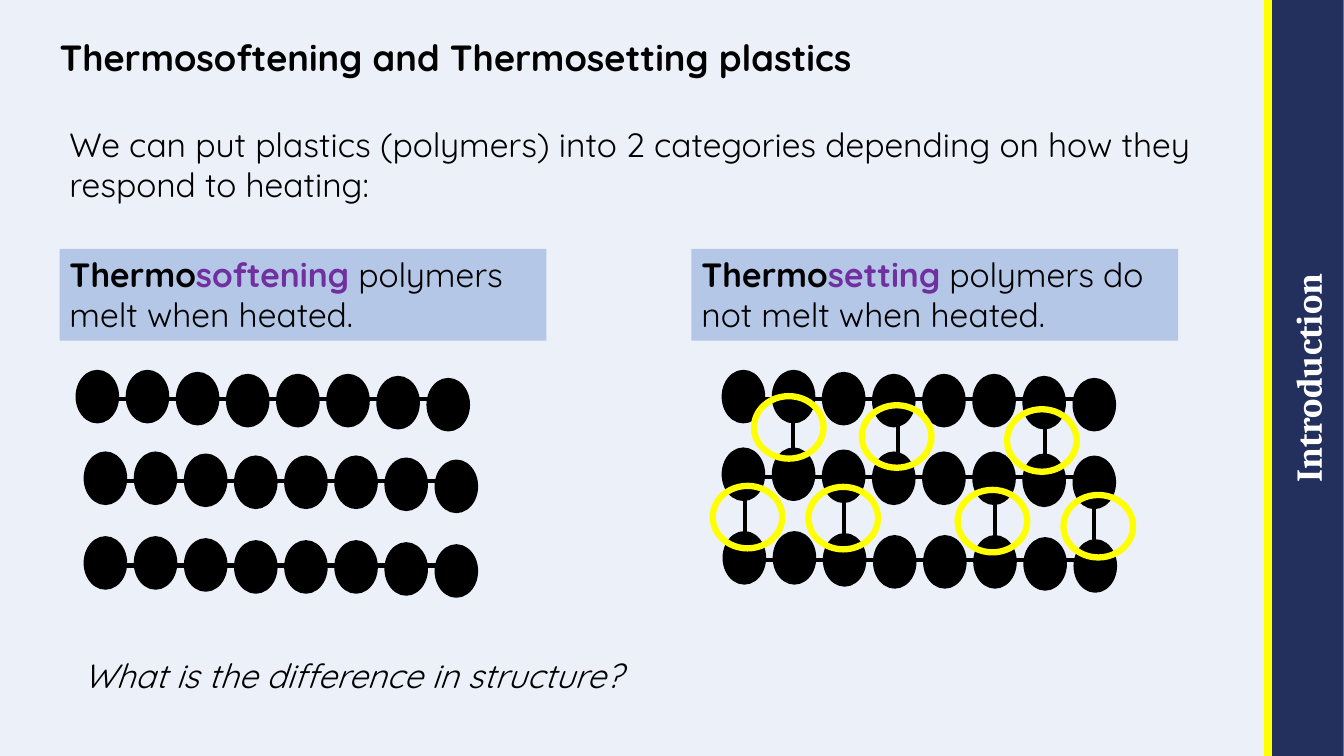
from pptx import Presentation
from pptx.dml.color import RGBColor as Rgb
from pptx.enum.shapes import MSO_CONNECTOR as Link, MSO_SHAPE as Shape
from pptx.enum.text import MSO_ANCHOR as Anchor, PP_ALIGN as Align
from pptx.oxml.ns import qn
from pptx.util import Inches, Pt
from lxml.etree import SubElement

COLORS = {name: Rgb.from_string(code) for name, code in {
    "page": "ECF1F9", "navy": "232F5D", "card": "B4C7E7", "purple": "7030A0",
    "yellow": "FFFF00", "black": "000000", "white": "FFFFFF",
}.items()}

deck = Presentation()
deck.slide_width, deck.slide_height = Inches(13.33), Inches(7.5)
col, row = deck.slide_width / 100, deck.slide_height / 100
page = deck.slides.add_slide(deck.slide_layouts[6])
page.background.fill.solid()
page.background.fill.fore_color.rgb = COLORS["page"]


def add_line(shapes, x1, y1, x2, y2, color, width):
    line = shapes.add_connector(
        Link.STRAIGHT, int(x1 * col), int(y1 * row), int(x2 * col), int(y2 * row))
    line.line.color.rgb = COLORS[color]
    line.line.width = Pt(width)
    SubElement(line._element.spPr, qn("a:effectLst"))


def add_ellipse(shapes, x, y, w, h, fill, color, width):
    oval = shapes.add_shape(
        Shape.OVAL, int(x * col), int(y * row), int(w * col), int(h * row))
    oval.shadow.inherit = False
    if fill:
        oval.fill.solid()
        oval.fill.fore_color.rgb = COLORS[fill]
    else:
        oval.fill.background()
    oval.line.color.rgb = COLORS[color]
    oval.line.width = Pt(width)


LEFT, RIGHT, CARD_TOP = 4.43, 51.45, 32.93
texts = {
    "side": (69.15, 45.2, 56.25, 9.6, "navy", 26,
             [("Introduction", "white", True)]),
    "title": (LEFT, 0, 87.07, 10.53, None, 26,
              [("Thermosoftening and Thermosetting plastics", "black", True)]),
    "intro": (LEFT, 15.73, 87.07, 12.13, None, 24,
              [("We can put plastics (polymers) into 2 categories depending on "
                "how they respond to heating:", "black", False)]),
    "softening": (LEFT, CARD_TOP, 36.22, 12.13, "card", 24,
                  [("Thermo", "black", True), ("softening", "purple", True),
                   (" polymers melt when heated.", "black", False)]),
    "setting": (RIGHT, CARD_TOP, 36.22, 12.13, "card", 24,
                [("Thermo", "black", True), ("setting", "purple", True),
                 (" polymers do not melt when heated.", "black", False)]),
    "question": (5.47, 86, 43.8, 6.67, None, 24,
                 [("What is the difference in structure?", "black", False)]),
}
for name, (x, y, w, h, fill, size, spans) in texts.items():
    box = page.shapes.add_textbox(
        int(x * col), int(y * row), int(w * col), int(h * row))
    if fill:
        box.fill.solid()
        box.fill.fore_color.rgb = COLORS[fill]
    frame = box.text_frame
    frame.word_wrap = name != "question"
    para = frame.paragraphs[0]
    for words, color, bold in spans:
        span = para.add_run()
        span.text = words
        span.font.name = "Cambria" if name == "side" else "Quicksand"
        span.font.size = Pt(size)
        span.font.bold = bold
        span.font.italic = name == "question"
        span.font.color.rgb = COLORS[color]
    if name in ("side", "title"):
        frame.margin_left = frame.margin_right = 0
        frame.margin_top = frame.margin_bottom = 0
    if name == "side":
        box.rotation = 270
        frame.vertical_anchor = Anchor.MIDDLE
        para.alignment = Align.CENTER
    if name == "title":
        frame.vertical_anchor = Anchor.BOTTOM
        para.line_spacing = 0.9

BEAD_STEP, BEAD_W, BEAD_H = 3.73, 2.93, 6.53
bead_drops = [0, 0, 0.27, 0.53, 0.53, 0.53, 0.8, 1.07]
chains = [(53.85, 49.2), (53.85, 59.47), (53.92, 70.53),
          (5.78, 49.2), (6.38, 60), (6.38, 71.2)]
for x, y in chains:
    chain = page.shapes.add_group_shape()
    for index, drop in enumerate(bead_drops):
        add_ellipse(chain.shapes, x + index * BEAD_STEP, y + drop,
                    BEAD_W, BEAD_H, "black", "black", 3)
    add_line(chain.shapes, x + 1.3, y + 3.6, x + 27.8, y + 3.6, "black", 3)

cross_links = [(59.03, 53.6), (66.83, 55.07), (77.78, 56), (81.38, 66.4),
               (74.03, 66.13), (62.78, 65.47), (55.43, 65.47)]
for x, y in cross_links:
    add_line(page.shapes, x, y, x, y + 5.9, "black", 3)

rings = [(56.1, 52.4), (64.13, 53.6), (74.93, 54.13), (53.03, 64.27),
         (60.15, 64.4), (71.25, 64.8), (79.13, 65.47)]
for x, y in rings:
    add_ellipse(page.shapes, x, y, 5.18, 8.27, None, "yellow", 4.5)

add_line(page.shapes, 94.35, 0, 94.35, 100, "yellow", 6)

deck.save("out.pptx")
